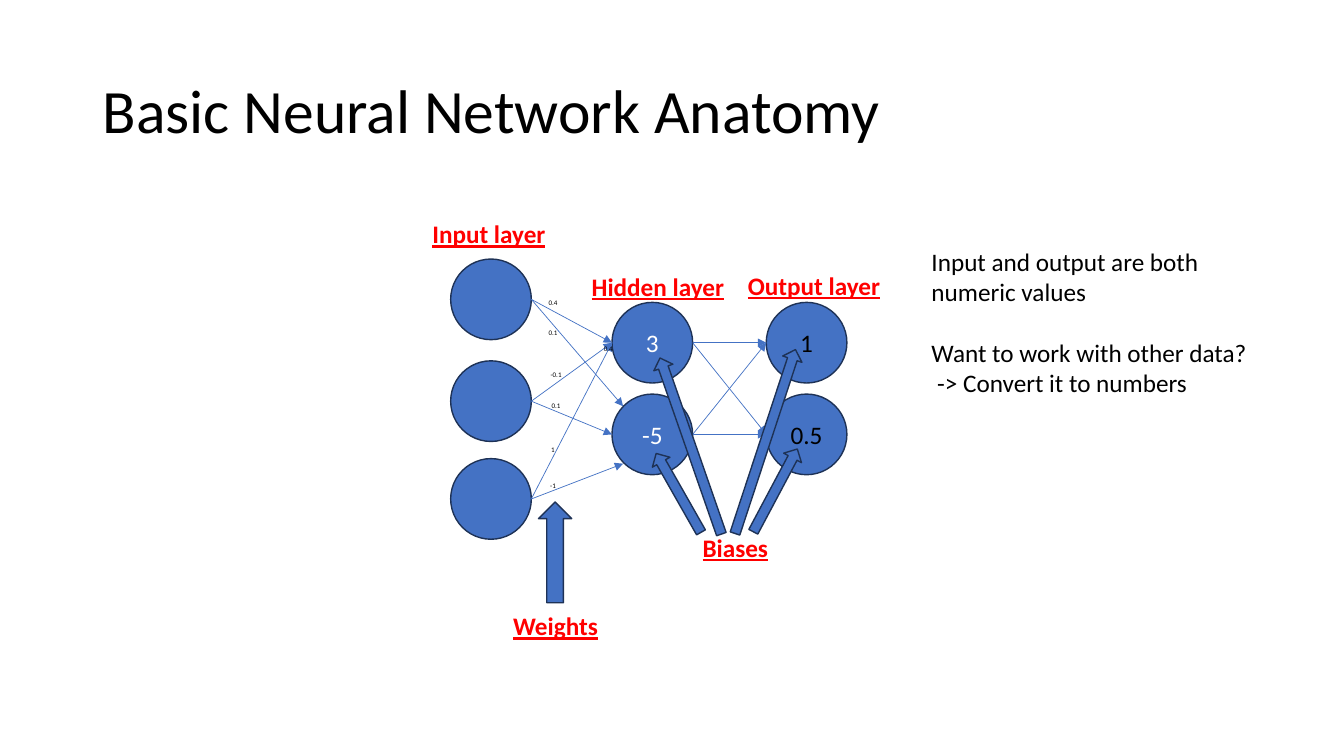
from lxml import etree
from pptx import Presentation
from pptx.dml.color import RGBColor
from pptx.enum.shapes import MSO_CONNECTOR, MSO_SHAPE
from pptx.enum.text import MSO_ANCHOR, PP_ALIGN
from pptx.oxml.ns import qn
from pptx.util import Inches, Pt

COLORS = {"blue": "4472C4", "outline": "1E3256", "red": "FF0000",
          "black": "000000", "white": "FFFFFF"}
FONT = "Calibri"
DIAMETER = 0.8

presentation = Presentation()
presentation.slide_width = Inches(13.33)
presentation.slide_height = Inches(7.5)
slide = presentation.slides.add_slide(presentation.slide_layouts[6])


def add_text(lines, left, top, width, height, size, color="black", align=PP_ALIGN.LEFT):
    box = slide.shapes.add_textbox(Inches(left), Inches(top), Inches(width), Inches(height))
    frame = box.text_frame
    frame.word_wrap = True
    frame.text = "\n".join(lines)
    for paragraph in frame.paragraphs:
        paragraph.alignment = align
        paragraph.font.name = FONT
        paragraph.font.size = Pt(size)
        paragraph.font.color.rgb = RGBColor.from_string(COLORS[color])
    return frame


def add_blue_shape(kind, left, top, width, height):
    shape = slide.shapes.add_shape(kind, Inches(left), Inches(top), Inches(width), Inches(height))
    shape.shadow.inherit = False
    shape.fill.solid()
    shape.fill.fore_color.rgb = RGBColor.from_string(COLORS["blue"])
    shape.line.color.rgb = RGBColor.from_string(COLORS["outline"])
    shape.line.width = Pt(1)
    return shape


# Title
title = add_text(["Basic Neural Network Anatomy"], 0.92, 0.4, 11.5, 1.45, 44)
title.vertical_anchor = MSO_ANCHOR.MIDDLE
title.paragraphs[0].line_spacing = 0.9

# Neurons: left edge, tops, biases and text colour of each layer
input_left, hidden_left, output_left = 4.47, 6.07, 7.6
input_tops, later_tops = (2.57, 3.58, 4.55), (3, 3.91)
layers = [
    (input_left, input_tops, ("", "", ""), "white"),
    (hidden_left, later_tops, ("3", "-5"), "white"),
    (output_left, later_tops, ("1", "0.5"), "black"),
]
for left, tops, biases, color in layers:
    for top, bias in zip(tops, biases):
        neuron = add_blue_shape(MSO_SHAPE.OVAL, left, top, DIAMETER, DIAMETER)
        if bias:
            neuron.text_frame.text = bias
            neuron.text_frame.vertical_anchor = MSO_ANCHOR.MIDDLE
            paragraph = neuron.text_frame.paragraphs[0]
            paragraph.alignment = PP_ALIGN.CENTER
            paragraph.font.name = FONT
            paragraph.font.size = Pt(18)
            paragraph.font.color.rgb = RGBColor.from_string(COLORS[color])

# Connections: every neuron to every neuron of the next layer
radius = DIAMETER / 2
input_right, hidden_right = input_left + DIAMETER, hidden_left + DIAMETER
lower_hidden_ends = [(6.18, 4.03), (hidden_left, 4.31), (6.18, 4.6)]
connections = []
for top, lower_end in zip(input_tops, lower_hidden_ends):
    start = (input_right, top + radius)
    connections += [(start, (hidden_left, later_tops[0] + radius)), (start, lower_end)]
for start_top in later_tops:
    for end_top in later_tops:
        connections.append(((hidden_right, start_top + radius), (output_left, end_top + radius)))
for start, end in connections:
    connector = slide.shapes.add_connector(
        MSO_CONNECTOR.STRAIGHT, *(Inches(value) for value in start + end))
    connector.line.color.rgb = RGBColor.from_string(COLORS["blue"])
    connector.line.width = Pt(0.5)
    etree.SubElement(connector.line._get_or_add_ln(), qn("a:tailEnd"), type="triangle")
    etree.SubElement(connector._element.spPr, qn("a:effectLst"))

# Block arrows pointing at the weights and biases
block_arrows = [
    (5.34, 4.98, 0.33, 1, 180),
    (6.63, 4.44, 0.2, 0.9, 150.4),
    (6.75, 3.5, 0.2, 1.85, 160.8),
    (7.59, 4.4, 0.2, 0.93, 208),
    (7.49, 3.42, 0.2, 1.92, 198.2),
]
for left, top, width, height, angle in block_arrows:
    arrow = add_blue_shape(MSO_SHAPE.DOWN_ARROW, left, top, width, height)
    arrow.rotation = angle

# Red labels
labels = [
    ("Input layer", 4.19, 2.12, 1.83, PP_ALIGN.LEFT),
    ("Hidden layer", 5.77, 2.64, 1.83, PP_ALIGN.LEFT),
    ("Output layer", 7.32, 2.63, 1.83, PP_ALIGN.LEFT),
    ("Biases", 6.87, 5.23, 1.03, PP_ALIGN.LEFT),
    ("Weights", 4.93, 6.01, 1.16, PP_ALIGN.CENTER),
]
for text, left, top, width, align in labels:
    label = add_text([text], left, top, width, 0.4, 18, "red", align)
    label.paragraphs[0].font.bold = True
    label.paragraphs[0].font.underline = True

# Weight values
weights = [
    ("0.4", 5.31, 2.91, PP_ALIGN.CENTER),
    ("0.1", 5.31, 3.21, PP_ALIGN.CENTER),
    ("0.4", 5.89, 3.37, PP_ALIGN.LEFT),
    ("-0.1", 5.34, 3.63, PP_ALIGN.CENTER),
    ("0.1", 5.34, 3.93, PP_ALIGN.CENTER),
    ("1", 5.31, 4.37, PP_ALIGN.CENTER),
    ("-1", 5.31, 4.73, PP_ALIGN.CENTER),
]
for text, left, top, align in weights:
    add_text([text], left, top, 0.35, 0.19, 5, align=align)

# Side note
note = add_text(["Input and output are both numeric values",
                 "Want to work with other data?",
                 " -> Convert it to numbers"], 9.14, 2.39, 3.49, 1.62, 18)
note.paragraphs[1].space_before = Pt(22)

presentation.save("out.pptx")
